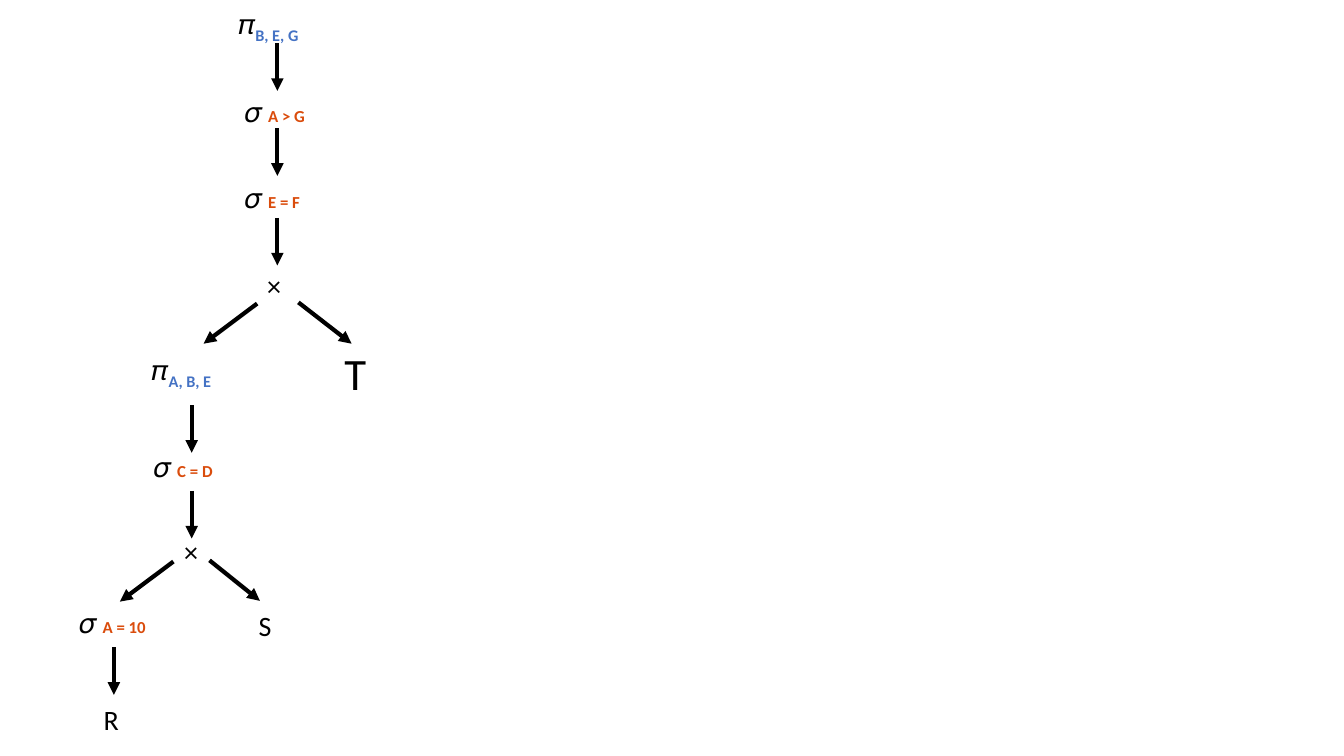
from lxml import etree
from pptx import Presentation
from pptx.dml.color import RGBColor
from pptx.enum.shapes import MSO_CONNECTOR
from pptx.enum.text import MSO_AUTO_SIZE
from pptx.oxml.ns import qn
from pptx.util import Cm, Pt

STRAIGHT = MSO_CONNECTOR.STRAIGHT
GROW = MSO_AUTO_SIZE.SHAPE_TO_FIT_TEXT
BLACK, BLUE, ORANGE = "000000", "4472C4", "DA4C0C"
SIDE = 1.04
STEP = 1.2

PROJECTIONS = [
    (5.77, 0.05, 3.61, 1.04, "B, E, G"),
    (3.58, 8.76, 3.61, 1.12, "A, B, E"),
]
SELECTIONS = [
    (5.92, 2.26, 2.51, 1.12, "A > G"),
    (5.92, 4.42, 2.62, 1.12, "E = F"),
    (3.63, 11.2, 3, 1.04, "C = D"),
    (1.75, 15.14, 3.43, 1.04, "A = 10"),
]
LEAVES = [
    (6.48, 6.65, SIDE, SIDE, "×", 20),
    (4.39, 13.34, SIDE, SIDE, "×", 20),
    (8.43, 8.59, 0.97, 1.63, "T", 32),
    (6.27, 15.21, SIDE, SIDE, "S", 20),
    (2.36, 17.58, SIDE, SIDE, "R", 20),
]
DOWN_STEPS = [
    (6.99, 1.09), (6.99, 3.23), (6.99, 5.49),
    (4.83, 10.21), (4.83, 12.37), (2.87, 16.31),
]
BRANCHES = [
    (6.48, 7.65, 5.13, 8.66), (7.52, 7.62, 8.86, 8.66),
    (4.37, 14.15, 3.02, 15.16), (5.28, 14.12, 6.55, 15.14),
]


def rgb(value):
    """Turn a hex string into a colour."""
    return RGBColor.from_string(value)


def add_run(p, text, size, color=BLACK, bold=False):
    """Append a formatted run to a paragraph."""
    r = p.add_run()
    r.text = text
    r.font.name = "Calibri"
    r.font.size = Pt(size)
    r.font.bold = bold
    r.font.color.rgb = rgb(color)
    return r


def add_label(s, left, top, width, height):
    """Add a text box and return its first paragraph."""
    sp = s.shapes.add_textbox(Cm(left), Cm(top), Cm(width), Cm(height))
    tf = sp.text_frame
    tf.word_wrap = True
    tf.auto_size = GROW
    return tf.paragraphs[0]


def add_projection(s, left, top, width, height, columns):
    """Add a projection with its columns as a subscript."""
    p = add_label(s, left, top, width, height)
    add_run(p, "𝜋", 20, bold=True)
    r = add_run(p, columns, 20, BLUE, True)
    r.font._element.set("baseline", "-25000")


def add_selection(s, left, top, width, height, condition):
    """Add a selection with its condition in small type."""
    p = add_label(s, left, top, width, height)
    add_run(p, "𝜎 ", 20, bold=True)
    add_run(p, condition, 12, ORANGE, True)


def add_leaf(s, left, top, width, height, text, size):
    """Add a plain relation name or product sign."""
    add_run(add_label(s, left, top, width, height), text, size)


def add_arrow(s, x1, y1, x2, y2):
    """Add a thick black arrow between two points."""
    sp = s.shapes.add_connector(STRAIGHT, Cm(x1), Cm(y1), Cm(x2), Cm(y2))
    sp.line.color.rgb = rgb(BLACK)
    sp.line.width = Pt(3)
    etree.SubElement(sp.line._get_or_add_ln(), qn("a:tailEnd"), type="triangle")
    etree.SubElement(sp._element.spPr, qn("a:effectLst"))


def main():
    """Build the query tree slide."""
    prs = Presentation()
    prs.slide_width, prs.slide_height = Cm(33.87), Cm(19.05)
    s = prs.slides.add_slide(prs.slide_layouts[6])
    for projection in PROJECTIONS:
        add_projection(s, *projection)
    for selection in SELECTIONS:
        add_selection(s, *selection)
    for leaf in LEAVES:
        add_leaf(s, *leaf)
    for x, y in DOWN_STEPS:
        add_arrow(s, x, y, x, y + STEP)
    for branch in BRANCHES:
        add_arrow(s, *branch)
    prs.save("out.pptx")


if __name__ == "__main__":
    main()
